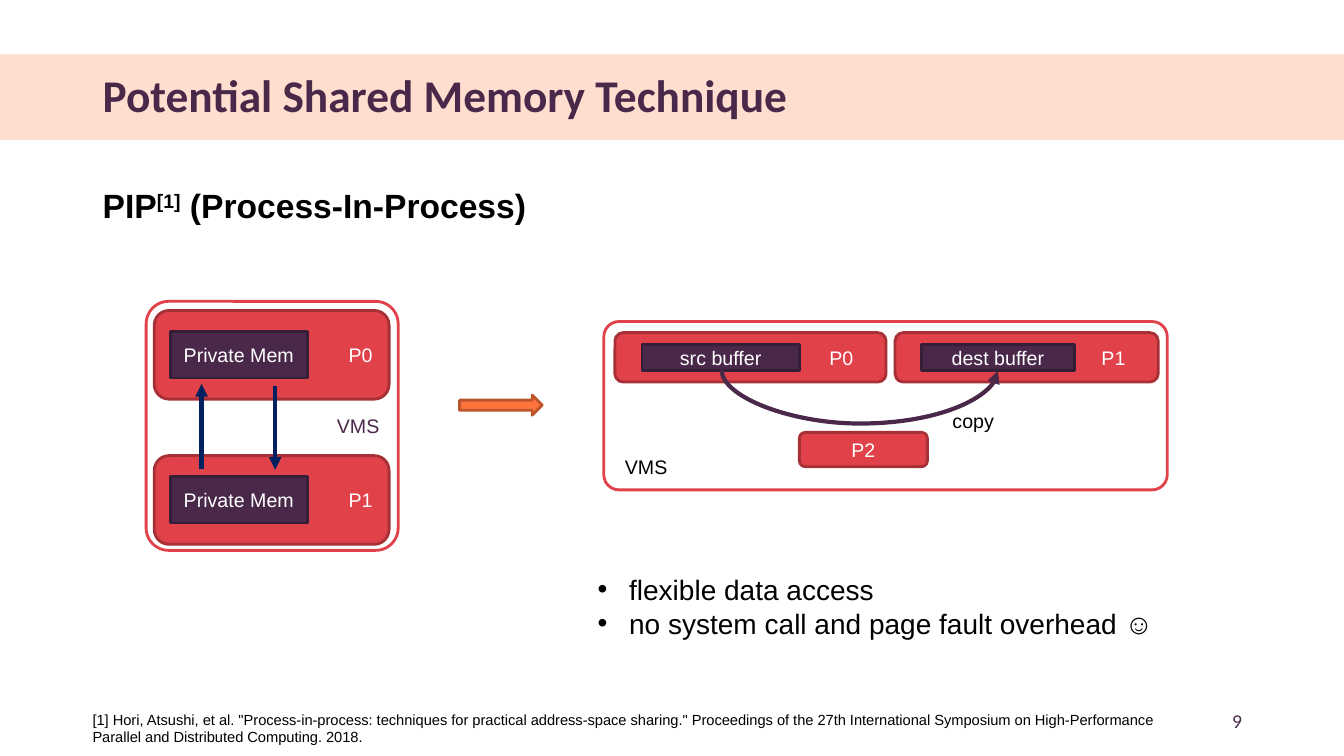
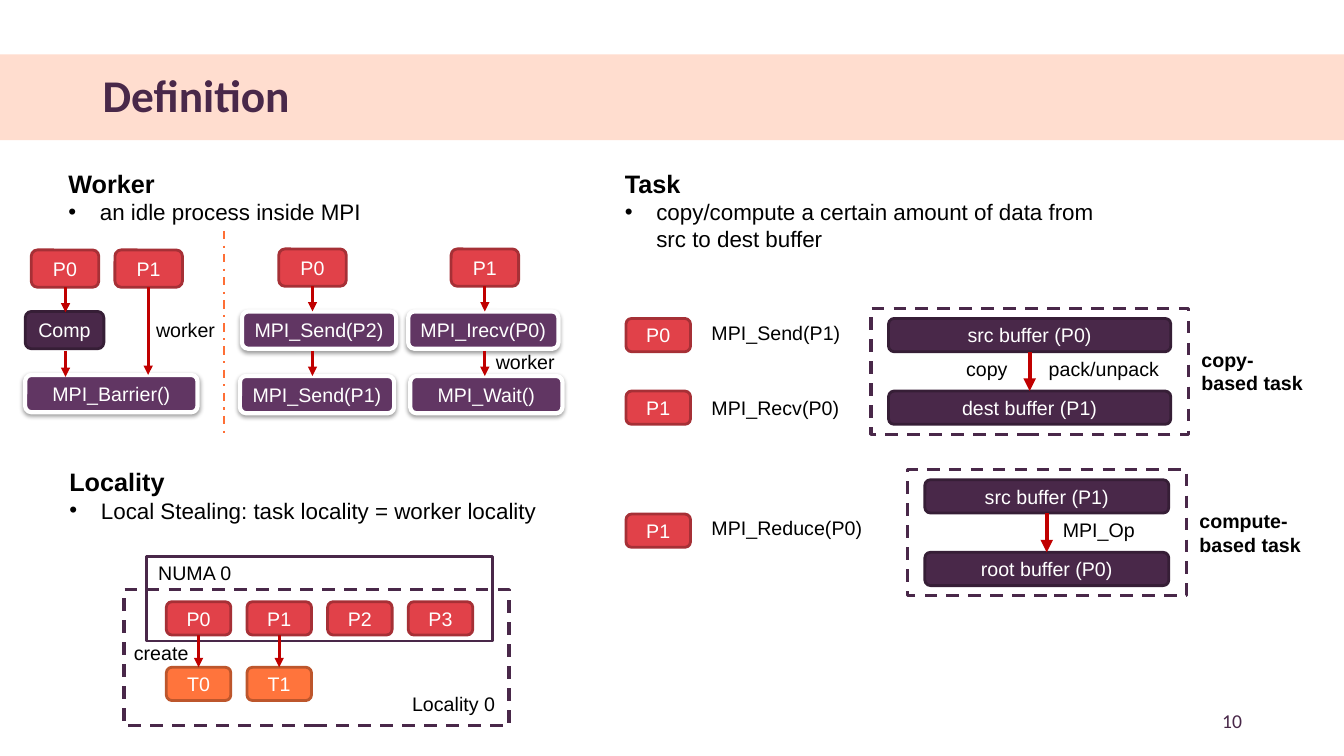
from dataclasses import dataclass

from lxml import etree
from pptx import Presentation
from pptx import util as u
from pptx.dml.color import RGBColor
from pptx.enum import dml, shapes, text
from pptx.oxml import ns, parse_xml

COLUMNS, ROWS = 133.33, 75
SLIDE_W, SLIDE_H = u.Inches(13.33), u.Inches(7.5)
SHAPE = shapes.MSO_SHAPE
ALIGN = text.PP_ALIGN

WHITE = RGBColor(0xFF, 0xFF, 0xFF)
BLACK = RGBColor(0, 0, 0)
PEACH = RGBColor(0xFF, 0xDD, 0xCF)
PLUM = RGBColor(0x49, 0x28, 0x49)
DARK_PLUM = RGBColor(0x36, 0x1E, 0x36)
PURPLE = RGBColor(0x61, 0x36, 0x63)
RED = RGBColor(0xE1, 0x41, 0x49)
DARK_RED = RGBColor(0xA6, 0x30, 0x36)
ARROW_RED = RGBColor(0xC0, 0, 0)
ORANGE = RGBColor(0xFF, 0x74, 0x3C)
DARK_ORANGE = RGBColor(0xBD, 0x56, 0x2C)
DIVIDER_ORANGE = RGBColor(0xFE, 0x6F, 0x36)
NAVY = RGBColor(0, 0x20, 0x60)


@dataclass(frozen=True)
class Look:
    fill: RGBColor = None
    line: RGBColor = None
    weight: float = 2
    dash: int = None
    raised: bool = False


BAND = Look(PEACH)
PROCESS = Look(RED, DARK_RED)
MEMORY = Look(PLUM, DARK_PLUM)
CALL = Look(PURPLE, WHITE, 3, raised=True)
THREAD = Look(ORANGE, DARK_ORANGE)
SPACE = Look(WHITE, RED)
NUMA = Look(WHITE, PLUM)
DASHED = Look(None, PLUM, 2.25, dml.MSO_LINE.DASH)

RAISED_SHADOW = (
    f'<a:effectLst {ns.nsdecls("a")}><a:outerShdw blurRad="40000" dist="20000" '
    'dir="5400000" rotWithShape="0"><a:srgbClr val="000000">'
    '<a:alpha val="38000"/></a:srgbClr></a:outerShdw></a:effectLst>')


def style_font(paragraph, size, color, bold=False, face="Arial"):
    font = paragraph.font
    font.name, font.size, font.bold = face, u.Pt(size), bold
    font.color.rgb = color


def add_bullet(paragraph):
    props = paragraph._p.get_or_add_pPr()
    props.set("marL", "285750")
    props.set("indent", "-285750")
    etree.SubElement(props, ns.qn("a:buFont"), typeface="Arial")
    etree.SubElement(props, ns.qn("a:buChar"), char="•")


class Region:
    def __init__(self, slide, left=0, top=0, width=COLUMNS, height=ROWS):
        self.slide, self.left, self.top = slide, left, top
        self.width, self.height = width, height

    def area(self, left, top, width, height):
        return Region(self.slide, self.left + left, self.top + top, width, height)

    def point(self, x, y):
        return (int((self.left + x) / COLUMNS * SLIDE_W),
                int((self.top + y) / ROWS * SLIDE_H))

    def place(self, x, y, width, height):
        return (*self.point(x, y),
                int(width / COLUMNS * SLIDE_W), int(height / ROWS * SLIDE_H))

    def box(self, look, x, y, width, height, words="", kind=SHAPE.ROUNDED_RECTANGLE,
            corner=None, color=WHITE, align=ALIGN.CENTER, right=0):
        shape = self.slide.shapes.add_shape(kind, *self.place(x, y, width, height))
        shape.shadow.inherit = False
        if look.fill is None:
            shape.fill.background()
        else:
            shape.fill.solid()
            shape.fill.fore_color.rgb = look.fill
        if look.line is None:
            shape.line.fill.background()
        else:
            shape.line.color.rgb = look.line
            shape.line.width = u.Pt(look.weight)
            if look.dash:
                shape.line.dash_style = look.dash
        if look.raised:
            props = shape._element.spPr
            props.replace(props.find(ns.qn("a:effectLst")), parse_xml(RAISED_SHADOW))
        if corner is not None:
            shape.adjustments[0] = corner
        if words:
            frame = shape.text_frame
            frame.margin_left = frame.margin_top = frame.margin_bottom = 0
            frame.margin_right = u.Inches(right)
            frame.vertical_anchor = text.MSO_ANCHOR.MIDDLE
            paragraph = frame.paragraphs[0]
            paragraph.text, paragraph.alignment = words, align
            style_font(paragraph, 14, color)

    def frame(self, look, **options):
        self.box(look, 0, 0, self.width, self.height, **options)

    def label(self, words, x, y, width, height=3.4, size=14, bold=False, color=BLACK,
              face="Arial", align=ALIGN.LEFT, anchor=text.MSO_ANCHOR.TOP):
        frame = self.slide.shapes.add_textbox(
            *self.place(x, y, width, height)).text_frame
        frame.word_wrap = True
        frame.vertical_anchor = anchor
        paragraph = frame.paragraphs[0]
        paragraph.text, paragraph.alignment = words, align
        style_font(paragraph, size, color, bold, face)
        return frame

    def bullets(self, x, y, width, height, items, size, heading=None):
        frame = self.slide.shapes.add_textbox(
            *self.place(x, y, width, height)).text_frame
        frame.word_wrap = True
        paragraph = frame.paragraphs[0]
        if heading:
            paragraph.text = heading
            style_font(paragraph, 18, BLACK, True)
        for index, item in enumerate(items):
            if heading or index:
                paragraph = frame.add_paragraph()
            paragraph.text = item
            add_bullet(paragraph)
            style_font(paragraph, size, BLACK)

    def line(self, x1, y1, x2, y2, color=ARROW_RED, weight=2.25, dash=None,
             head=True, kind=shapes.MSO_CONNECTOR.STRAIGHT):
        line = self.slide.shapes.add_connector(
            kind, *self.point(x1, y1), *self.point(x2, y2))
        line.line.color.rgb, line.line.width = color, u.Pt(weight)
        if dash:
            line.line.dash_style = dash
        if head:
            etree.SubElement(line.line._get_or_add_ln(), ns.qn("a:tailEnd"),
                             type="triangle")
        etree.SubElement(line._element.spPr, ns.qn("a:effectLst"))
        return line

    def sagging_arrow(self, x, y, span, depth, color):
        thickness = 0.1
        middle = x + span / 2
        top = y + thickness / 2 - span / 2
        curve = self.line(middle - thickness / 2, top, middle + thickness / 2,
                          top + span, color, 3, kind=shapes.MSO_CONNECTOR.CURVE)
        props = curve._element.spPr
        transform = props.find(ns.qn("a:xfrm"))
        transform.set("rot", "16200000")
        transform.set("flipH", "1")
        guides = props.find(ns.qn("a:prstGeom")).get_or_add_avLst()
        etree.SubElement(guides, ns.qn("a:gd"), name="adj1",
                         fmla=f"val {round(depth / thickness * 100000)}")


def start_slide(deck, title, number):
    page = Region(deck.slides.add_slide(deck.slide_layouts[6]))
    page.box(BAND, 0, 5.4, COLUMNS, 8.5, kind=SHAPE.RECTANGLE)
    middle = text.MSO_ANCHOR.MIDDLE
    heading = page.label(title, 9.2, 7.1, 115, 5.2, 32.4, True, PLUM, "Calibri",
                         anchor=middle)
    heading.paragraphs[0].line_spacing = 0.9
    page.label(str(number), 94.2, 69.5, 30, 4, 14, False, PLUM, "Calibri",
               ALIGN.RIGHT, middle)
    return page


def draw_separate_processes(region):
    region.frame(SPACE, words="VMS", corner=0.09, color=PLUM, align=ALIGN.RIGHT,
                 right=0.12)
    for name, top in (("P0", 0.9), ("P1", 15.3)):
        region.box(PROCESS, 0.8, top, 23.3, 8.8, name, align=ALIGN.RIGHT, right=0.12)
        region.box(MEMORY, 2.4, top + 2.1, 13.6, 4.6, "Private Mem", SHAPE.RECTANGLE)
    region.line(5.5, 16.6, 5.5, 8.2, NAVY, 3)
    region.line(12.8, 8.4, 12.8, 16.7, NAVY, 3)


def draw_shared_space(region):
    region.frame(SPACE, corner=0.09)
    for name, left, width, buffer, inset, length in (
            ("P0", 1.1, 26.9, "src buffer", 2.7, 15.6),
            ("P1", 28.9, 26.1, "dest buffer", 2.6, 15.2)):
        region.box(PROCESS, left, 1.1, width, 4.9, name, align=ALIGN.RIGHT, right=0.3)
        region.box(MEMORY, left + inset, 2.3, length, 2.6, buffer, SHAPE.RECTANGLE)
    region.box(PROCESS, 19.4, 11, 12.7, 3.4, "P2")
    region.sagging_arrow(11.7, 4.8, 27.4, 5.4, PLUM)
    region.label("VMS", 1.1, 12.7, 12.7)
    region.label("copy", 33.6, 8.2, 9.4)


def draw_barrier_worker(region):
    region.box(PROCESS, 0.6, 0, 6.7, 3.7, "P0")
    region.box(PROCESS, 8.9, 0, 6.7, 3.7, "P1")
    region.box(MEMORY, 0, 6.1, 7.8, 3.7, "Comp")
    region.box(CALL, 0, 12.4, 17.1, 3.7, "MPI_Barrier()")
    region.label("worker", 12, 6.2, 9.8)
    for x, start, end in ((4, 3.7, 6.2), (4, 10, 12.6), (12.2, 3.7, 12.4)):
        region.line(x, start, x, end)


def draw_call_lane(region, process, calls, note=None):
    middle = region.width / 2
    region.box(PROCESS, middle - 3.35, 0, 6.7, 3.7, process)
    if note:
        region.label(note, middle + 0.1, 9.5, 9.8)
    for row, (call, left, width) in enumerate(calls):
        top = 6.2 + 6.4 * row
        region.box(CALL, left, top, width, 3.7, call)
        region.line(middle, top - 2.5, middle, top)


def draw_locality(region):
    region.box(NUMA, 2.2, 0, 34.4, 8.4, kind=SHAPE.RECTANGLE)
    region.label("NUMA 0", 2.4, 0, 10)
    pitch, width, height = 8, 6.4, 3.3
    for index in range(4):
        left = 4.2 + pitch * index
        region.box(PROCESS, left, 4.5, width, height, f"P{index}")
        if index < 2:
            region.box(THREAD, left, 11, width, height, f"T{index}")
            region.line(left + width / 2, 4.5 + height, left + width / 2, 11)
    region.label("create", 0, 7.9, 9.1)
    region.box(DASHED, 0, 3.3, 38.2, 13.5, kind=SHAPE.RECTANGLE)
    region.label("Locality 0", 27.6, 13, 10.6)


def draw_task(region, calls, frame_left, buffers, notes, caption):
    for process, call, top, call_top in calls:
        region.box(PROCESS, 0, top, 6.4, 3.3, process)
        region.label(call, 7.5, call_top, 20)
    task = region.area(frame_left, 0, region.width - frame_left, region.height)
    middle = task.width / 2
    for buffer, top in zip(buffers, (1, 8.2)):
        task.box(MEMORY, 1.75, top, task.width - 3.5, 3.3, buffer)
    task.frame(DASHED, kind=SHAPE.RECTANGLE)
    task.line(middle, 4.3, middle, 8.2, weight=3)
    for note, offset in notes:
        task.label(note, middle + offset, 4.3, 16)
    task.label(caption, task.width + 0.3, 3.4, 12.8, 5.7, bold=True)


def build_technique_slide(deck):
    page = start_slide(deck, "Potential Shared Memory Technique", 9)
    page.label('[1] Hori, Atsushi, et al. "Process-in-process: techniques for practical '
               'address-space sharing." Proceedings of the 27th International Symposium '
               'on High-Performance Parallel and Distributed Computing. 2018.',
               8.2, 70, 111, 4.5, 10.5)
    topic = page.label("", 9.2, 17.9, 48, 5, 24, True).paragraphs[0]
    for words in ("PIP", "[1]", " (Process-In-Process)"):
        topic.add_run().text = words
    topic.runs[1]._r.get_or_add_rPr().set("baseline", "30000")
    draw_separate_processes(page.area(14.5, 29.9, 25, 24.7))
    page.box(THREAD, 45.6, 39.2, 8.2, 2, kind=SHAPE.RIGHT_ARROW)
    draw_shared_space(page.area(59.9, 31.9, 55.9, 16.7))
    page.bullets(58.3, 56.3, 57.6, 7.7,
                 ("flexible data access", "no system call and page fault overhead ☺"), 20)


def build_definition_slide(deck):
    page = start_slide(deck, "Definition", 10)
    for heading, detail, left, top, width in (
            ("Worker", "an idle process inside MPI", 5.8, 16.2, 51.2),
            ("Task", "copy/compute a certain amount of data from src to dest buffer",
             61, 16.2, 51.2),
            ("Locality", "Local Stealing: task locality = worker locality",
             5.9, 45.8, 56)):
        page.bullets(left, top, width, 6.7, (detail,), 16, heading)
    draw_barrier_worker(page.area(2.5, 24.8, 17.1, 16.1))
    page.line(22.2, 22.9, 22.2, 43, DIVIDER_ORANGE, 1.5, dml.MSO_LINE.DASH_DOT, False)
    draw_call_lane(page.area(23.8, 24.7, 14.4, 16.3), "P0",
                   (("MPI_Send(P2)", 0.2, 15.3), ("MPI_Send(P1)", 0, 15.3)))
    draw_call_lane(page.area(40.5, 24.7, 15.2, 16.3), "P1",
                   (("MPI_Irecv(P0)", 0, 14.9), ("MPI_Wait()", 0.2, 15.1)), "worker")
    draw_locality(page.area(12.3, 55.2, 38.2, 16.8))
    draw_task(page.area(62.1, 30.6, 55.8, 12.5),
              (("P0", "MPI_Send(P1)", 1, 0.7), ("P1", "MPI_Recv(P0)", 8.2, 8.2)),
              24.3, ("src buffer (P0)", "dest buffer (P1)"),
              (("copy", -7.3), ("pack/unpack", 0.9)), "copy-based task")
    draw_task(page.area(62.1, 46.6, 55.6, 12.5),
              (("P1", "MPI_Reduce(P0)", 4.4, 4.1),),
              27.9, ("src buffer (P1)", "root buffer (P0)"),
              (("MPI_Op", 0.6),), "compute-based task")


def main():
    deck = Presentation()
    deck.slide_width, deck.slide_height = SLIDE_W, SLIDE_H
    build_technique_slide(deck)
    build_definition_slide(deck)
    deck.save("out.pptx")


if __name__ == "__main__":
    main()
